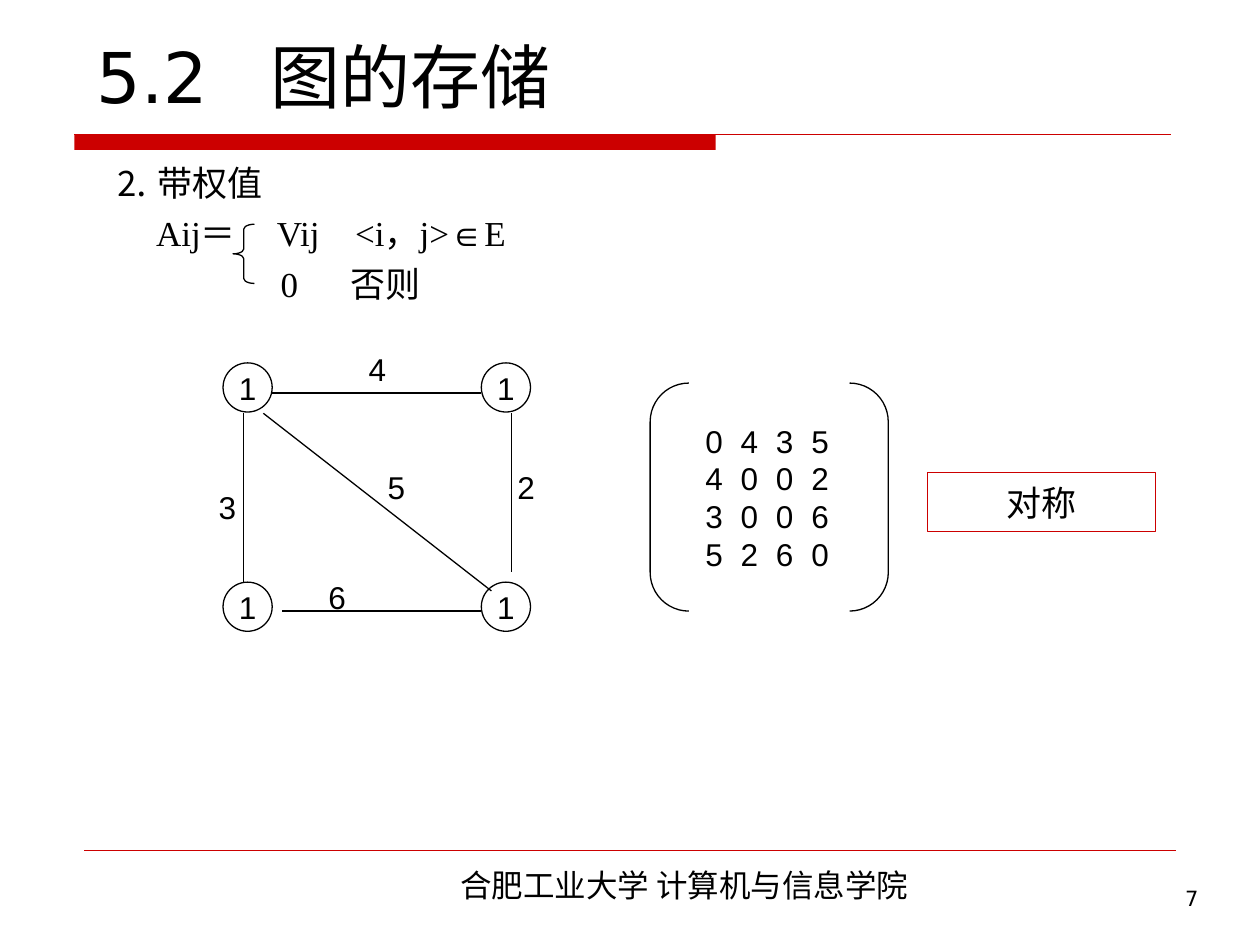
from lxml.etree import SubElement
from pptx import Presentation
from pptx.dml.color import RGBColor
from pptx.enum.shapes import MSO_CONNECTOR, MSO_SHAPE
from pptx.enum.text import MSO_ANCHOR, PP_ALIGN
from pptx.oxml.ns import qn
from pptx.util import Inches, Pt

BLACK, RED = "000000", "CC0000"
CHINESE_FONT = "Noto Sans CJK SC"
CENTERED = {"alignment": PP_ALIGN.CENTER}
MIDDLE = {"vertical_anchor": MSO_ANCHOR.MIDDLE, "word_wrap": False}


def color(value):
    """Turn a hex string into a colour."""
    return RGBColor.from_string(value)


def apply_format(target, values):
    """Set each attribute of the target from a dict."""
    for name, value in values.items():
        setattr(target, name, value)


def write_paragraph(paragraph, text, size, font, layout, tabs=()):
    """Fill one paragraph with formatted text and tab stops in inches."""
    apply_format(paragraph, layout)
    if tabs:
        tab_list = SubElement(paragraph._p.get_or_add_pPr(), qn("a:tabLst"))
        for position in tabs:
            SubElement(tab_list, qn("a:tab"), pos=str(Inches(position)), algn="l")
    run = paragraph.add_run()
    run.text = text
    apply_format(run.font, {"size": Pt(size), "name": font})
    run.font.color.rgb = color(BLACK)
    SubElement(run._r.get_or_add_rPr(), qn("a:ea"), typeface=CHINESE_FONT)


def add_text(slide, box, lines, size, font, frame_format, layout, space=0):
    """Add a text box; each line is a pair of text and tab stops."""
    frame = slide.shapes.add_textbox(*map(Inches, box)).text_frame
    apply_format(frame, {"word_wrap": True} | frame_format)
    for index, (text, tabs) in enumerate(lines):
        paragraph = frame.add_paragraph() if index else frame.paragraphs[0]
        spacing = {"space_before": Pt(space)} if index else {}
        write_paragraph(paragraph, text, size, font, layout | spacing, tabs)


def add_outline(slide, kind, box, line_color=BLACK):
    """Add an unfilled preset shape with a thin outline."""
    shape = slide.shapes.add_shape(kind, *map(Inches, box))
    shape.shadow.inherit = False
    shape.fill.background()
    shape.line.color.rgb = color(line_color)
    shape.line.width = Pt(0.75)
    return shape


def add_labelled(slide, kind, box, text, size, line_color=BLACK):
    """Add an outlined shape with centred text."""
    shape = add_outline(slide, kind, box, line_color)
    apply_format(shape.text_frame, MIDDLE)
    write_paragraph(shape.text_frame.paragraphs[0], text, size, "Arial", CENTERED)


def add_line(slide, start, end, line_color=BLACK, width=0.75):
    """Add a straight line between two points."""
    line = slide.shapes.add_connector(MSO_CONNECTOR.STRAIGHT, *map(Inches, (*start, *end)))
    line.line.color.rgb = color(line_color)
    line.line.width = Pt(width)
    SubElement(line._element.spPr, qn("a:effectLst"))


def add_header(slide, left, top, width, height):
    """Place the title above its red rule."""
    bottom = top + height
    bar = add_outline(slide, MSO_SHAPE.RECTANGLE, (left, bottom, 5.09, 0.12))
    bar.fill.solid()
    bar.fill.fore_color.rgb = color(RED)
    bar.line.fill.background()
    add_line(slide, (left, bottom), (left + width, bottom), RED)
    add_text(slide, (left + 0.08, top, width, height - 0.09), [("5.2\t图的存储", (1.38,))],
             40, "DejaVu Sans", {"vertical_anchor": MSO_ANCHOR.BOTTOM}, {})


def add_footer(slide, left, top, width):
    """Place the footer rule, school name and page number."""
    add_line(slide, (left, top), (left + width, top), RED, 0.25)
    add_text(slide, (2.4, top + 0.07, 6.06, 0.4), [("合肥工业大学 计算机与信息学院", ())],
             18, CHINESE_FONT, {"vertical_anchor": MSO_ANCHOR.MIDDLE}, CENTERED)
    add_text(slide, (7.44, top + 0.23, 2.17, 0.52), [("7", ())],
             12, "DejaVu Sans", {}, {"alignment": PP_ALIGN.RIGHT})


def add_definition(slide, left, top, width, height):
    """Place the weighted matrix definition with its brace."""
    lines = [
        ("\t⒉ 带权值", (0.14,)),
        ("\tAij＝\tVij\t<i，j>∈E", (0.47, 1.43, 2.05)),
        ("\t0\t否则", (1.46, 2.01)),
    ]
    add_text(slide, (left, top, width, height), lines, 20, "Times New Roman", {}, {}, 5)
    brace = add_outline(slide, MSO_SHAPE.LEFT_BRACE, (left + 1.18, top + 0.55, 0.17, 0.47))
    brace.adjustments[0] = 0.23


def add_graph(slide, left, top, width, height):
    """Place the weighted graph with a node in each corner of its box."""
    node = 0.39
    for x in (left, left + width - node):
        for y in (top, top + height - node):
            add_labelled(slide, MSO_SHAPE.OVAL, (x, y, node, node), "1", 18)
    edges = [
        ((0.39, 0.24), (2.05, 0.24)),
        ((0.16, 0.4), (0.16, 1.74)),
        ((0.47, 1.97), (2.05, 1.97)),
        ((2.29, 0.4), (2.29, 1.66)),
        ((2.13, 1.81), (0.32, 0.4)),
    ]
    for edge in edges:
        add_line(slide, *((left + x, top + y) for x, y in edge))
    weights = {"4": (0.95, -0.23), "6": (0.63, 1.58), "3": (-0.24, 0.87),
               "5": (1.1, 0.71), "2": (2.13, 0.71)}
    for weight, (x, y) in weights.items():
        add_text(slide, (left + x, top + y, 0.55, 0.55), [(weight, ())],
                 18, "Arial", MIDDLE, CENTERED)


def add_matrix(slide, left, top, width, height):
    """Place the adjacency matrix inside its brackets."""
    brackets = add_outline(slide, MSO_SHAPE.DOUBLE_BRACKET, (left, top, width, height))
    brackets.adjustments[0] = 0.17
    tabs = [0.28 * column for column in (1, 2, 3)]
    rows = [("\t".join(row), tabs) for row in ("0435", "4002", "3006", "5260")]
    add_text(slide, (left + 0.34, top, width - 0.5, height), rows, 18, "Arial",
             {"vertical_anchor": MSO_ANCHOR.MIDDLE}, {})


def main():
    """Build and save the slide."""
    presentation = Presentation()
    presentation.slide_width, presentation.slide_height = Inches(10), Inches(7.5)
    slide = presentation.slides.add_slide(presentation.slide_layouts[6])
    add_header(slide, 0.59, 0, 8.7, 1.07)
    add_footer(slide, 0.67, 6.75, 8.66)
    add_definition(slide, 0.67, 1.23, 8.74, 1.3)
    add_graph(slide, 1.77, 2.88, 2.44, 2.13)
    add_matrix(slide, 5.16, 3.04, 1.89, 1.81)
    add_labelled(slide, MSO_SHAPE.RECTANGLE, (7.36, 3.75, 1.81, 0.47), "对称", 20, RED)
    presentation.save("out.pptx")


if __name__ == "__main__":
    main()
